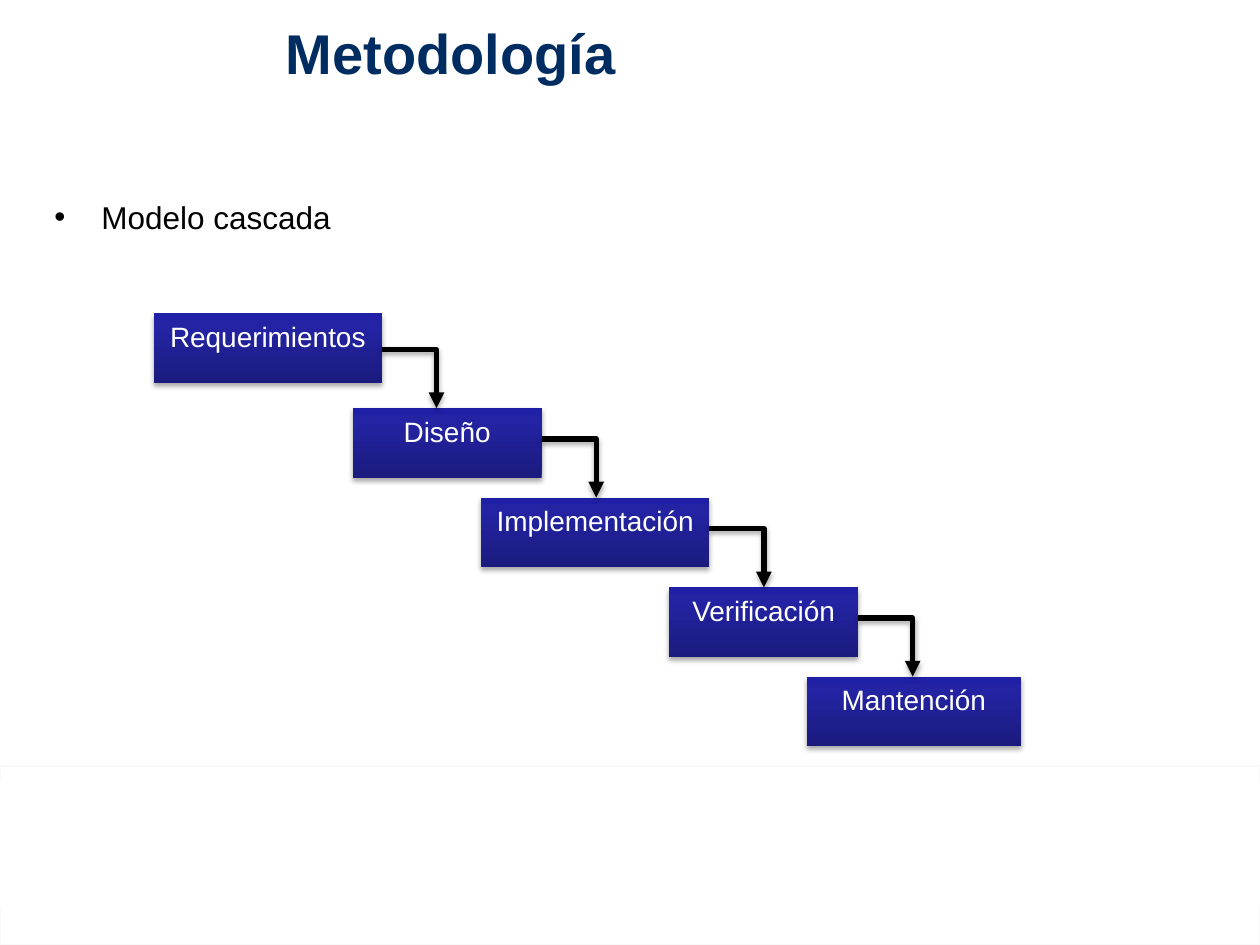
import pptx
import pptx.dml.color
import pptx.enum.shapes
import pptx.enum.text
import pptx.oxml
import pptx.oxml.ns
import pptx.util
from dataclasses import dataclass
from itertools import pairwise
from lxml import etree

Cm, Pt = pptx.util.Cm, pptx.util.Pt
RGB = pptx.dml.color.RGBColor.from_string
qn = pptx.oxml.ns.qn
ALIGN = pptx.enum.text.PP_ALIGN
ANCHOR = pptx.enum.text.MSO_ANCHOR
SHAPE = pptx.enum.shapes.MSO_SHAPE
ELBOW = pptx.enum.shapes.MSO_CONNECTOR.ELBOW


@dataclass(frozen=True)
class Theme:
    font: str = "Arial"
    title: str = "002D61"
    text: str = "000000"
    white: str = "FFFFFF"
    band_line: str = "F9F9F9"
    arrow: str = "000000"
    shadow: str = "000000"
    box_stops: tuple = ((0, "1B1B7E"), (80, "2323A3"), (100, "2020A6"))
    title_size: int = 32
    body_size: int = 18
    box_size: int = 16


def add_child(parent, tag, **attrs):
    return etree.SubElement(parent, qn(tag), {k: str(v) for k, v in attrs.items()})


class Deck:
    def __init__(self, theme):
        self.theme = theme
        self.prs = pptx.Presentation()
        self.prs.slide_width, self.prs.slide_height = Cm(25.4), Cm(19.05)
        self.s = None

    def new_slide(self):
        self.s = self.prs.slides.add_slide(self.prs.slide_layouts[1])

    def place(self, sp, left, top, width, height):
        sp.left, sp.top, sp.width, sp.height = map(Cm, (left, top, width, height))

    def set_text(self, tf, text, size, color, align, bold=False):
        tf.text = text
        tf.word_wrap = True
        p = tf.paragraphs[0]
        p.alignment = align
        font = p.runs[0].font
        font.name, font.size, font.bold = self.theme.font, Pt(size), bold
        font.color.rgb = RGB(color)
        return p

    def shadow(self, sp):
        effects = add_child(sp._element.spPr, "a:effectLst")
        outer = add_child(effects, "a:outerShdw", blurRad=Pt(3.1), dist=Pt(1.8),
                          dir=5400000, rotWithShape=0)
        color = add_child(outer, "a:srgbClr", val=self.theme.shadow)
        add_child(color, "a:alpha", val=35000)

    def title(self, text, *area):
        sp = self.s.shapes.title
        self.place(sp, *area)
        sp.text_frame.vertical_anchor = ANCHOR.MIDDLE
        self.set_text(sp.text_frame, text, self.theme.title_size, self.theme.title,
                      ALIGN.LEFT, bold=True)

    def bullet(self, text, *area):
        sp = self.s.placeholders[1]
        self.place(sp, *area)
        p = self.set_text(sp.text_frame, text, self.theme.body_size, self.theme.text, ALIGN.LEFT)
        p.line_spacing, p.space_before, p.space_after = Pt(23), Pt(0), Pt(26)
        pPr = p._p.get_or_add_pPr()
        pPr.set("marL", str(Cm(0.95)))
        pPr.set("indent", str(-Cm(0.95)))
        add_child(pPr, "a:buChar", char="•")

    def band(self, top, height, alpha=None, line=None):
        sp = self.s.shapes.add_shape(SHAPE.RECTANGLE, 0, Cm(top),
                                     self.prs.slide_width, Cm(height))
        sp.shadow.inherit = False
        sp.fill.solid()
        sp.fill.fore_color.rgb = RGB(self.theme.white)
        if alpha:
            color = sp._element.spPr.find(".//" + qn("a:srgbClr"))
            add_child(color, "a:alpha", val=alpha * 1000)
        if line:
            sp.line.color.rgb = RGB(line)
            sp.line.width = Pt(0.75)
        else:
            sp.line.fill.background()
        # Send behind the placeholders
        self.s.shapes._spTree.insert(2, sp._element)

    def box(self, text, *area):
        sp = self.s.shapes.add_shape(SHAPE.RECTANGLE, *map(Cm, area))
        sp.fill.gradient()
        grad = sp._element.spPr.find(qn("a:gradFill"))
        grad.find(qn("a:lin")).set("ang", "16200000")
        stops = grad.find(qn("a:gsLst"))
        stops.clear()
        for pos, color in self.theme.box_stops:
            add_child(add_child(stops, "a:gs", pos=pos * 1000), "a:srgbClr", val=color)
        sp.line.fill.background()
        self.shadow(sp)
        sp.text_frame.vertical_anchor = ANCHOR.TOP
        self.set_text(sp.text_frame, text, self.theme.box_size, self.theme.white, ALIGN.CENTER)

    def elbow_arrow(self, x1, y1, x2, y2):
        cx = self.s.shapes.add_connector(ELBOW, *map(Cm, (x1, y1, x2, y2)))
        spPr = cx._element.spPr
        # One bend only: across, then down
        spPr.find(qn("a:prstGeom")).set("prst", "bentConnector2")
        cx.line.color.rgb = RGB(self.theme.arrow)
        cx.line.width = Pt(3)
        add_child(spPr.find(qn("a:ln")), "a:tailEnd", type="triangle")
        self.shadow(cx)


# Waterfall steps: name, left, top, width (cm)
STEPS = [
    ("Requerimientos", 3.1, 6.32, 4.6),
    ("Diseño", 7.11, 8.23, 3.81),
    ("Implementación", 9.7, 10.03, 4.6),
    ("Verificación", 13.49, 11.84, 3.81),
    ("Mantención", 16.26, 13.64, 4.32),
]
BOX_HEIGHT = 1.4
ARROW_WIDTH, ARROW_HEIGHT = 1.1, 1.18


def main():
    theme = Theme()
    deck = Deck(theme)
    deck.new_slide()

    # Background bands, front to back
    deck.band(15.72, 2.59)
    deck.band(2.13, 2.59)
    deck.band(15.44, 3.61, alpha=65, line=theme.band_line)

    # Title and list
    deck.title("Metodología", 5.51, 0.2, 19.25, 1.7)
    deck.bullet("Modelo cascada", 0.84, 3.81, 23.37, 11.43)

    # Cascade of boxes, each linked to the next
    for name, left, top, width in STEPS:
        deck.box(name, left, top, width, BOX_HEIGHT)
    for (_, left, _, width), (_, _, next_top, _) in pairwise(STEPS):
        right = left + width
        deck.elbow_arrow(right, next_top - ARROW_HEIGHT, right + ARROW_WIDTH, next_top)

    deck.prs.save("out.pptx")


if __name__ == "__main__":
    main()
